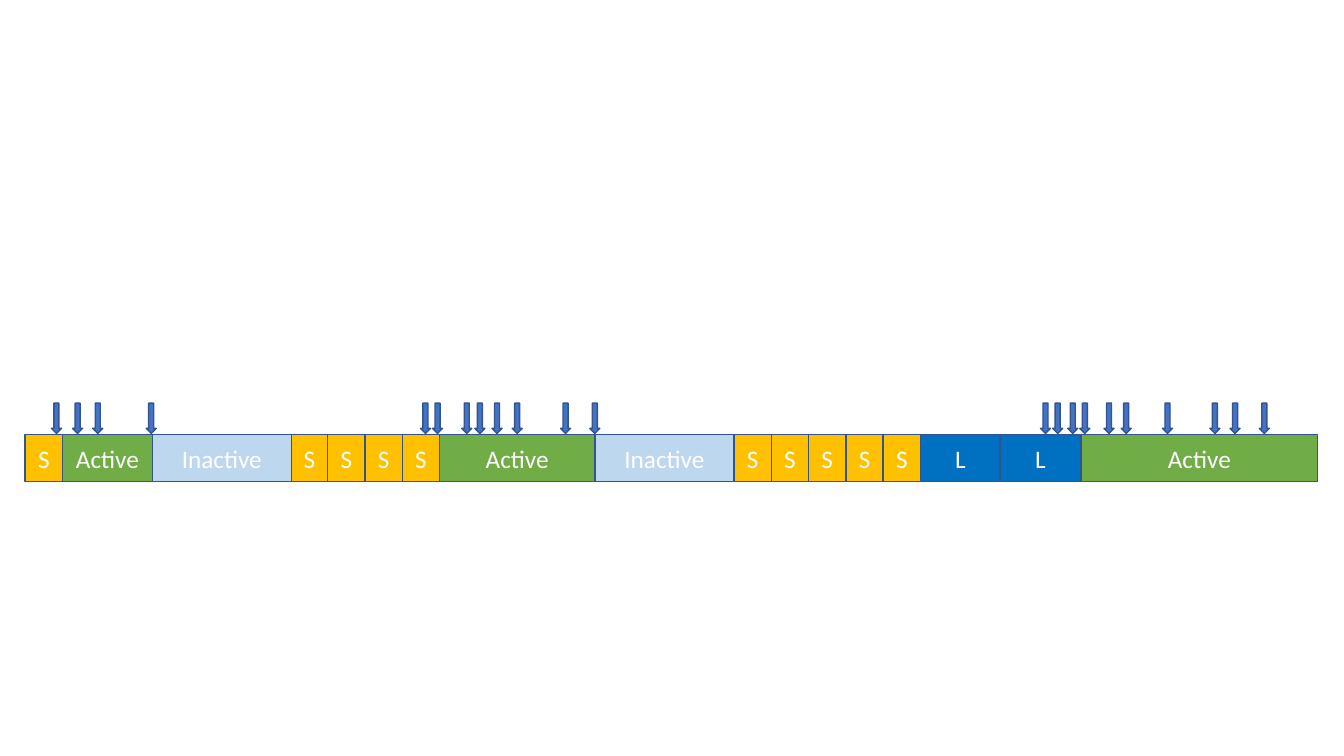
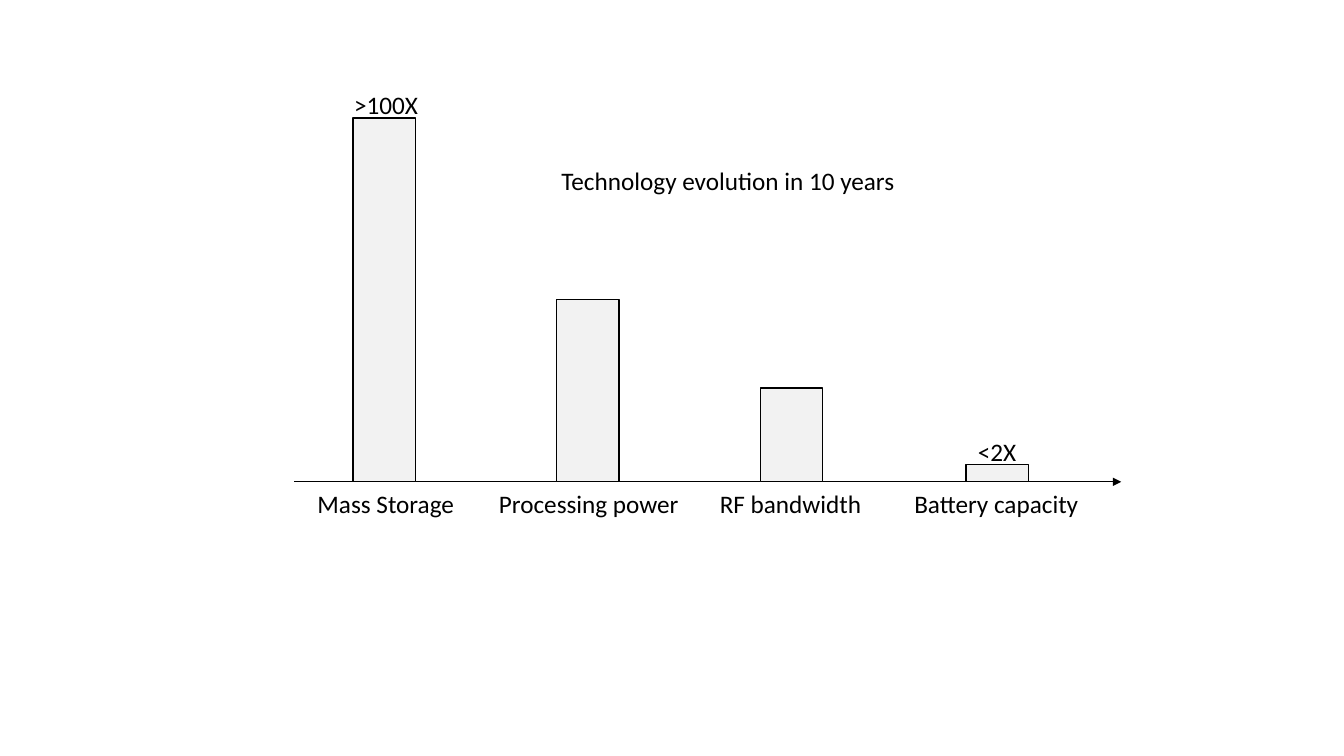
from itertools import pairwise

from pptx import Presentation
from pptx.dml.color import RGBColor
from pptx.enum.shapes import MSO_CONNECTOR as Connector, MSO_SHAPE as Shape
from pptx.enum.text import MSO_ANCHOR as Anchor, PP_ALIGN as Align
from pptx.oxml.ns import qn
from pptx.util import Inches, Pt
from lxml.etree import SubElement

COLORS = {
    "white": "FFFFFF",
    "black": "000000",
    "outline": "325491",
    "arrow": "4472C4",
    "bar": "F2F2F2",
    "S": "FFC000",
    "L": "0070C0",
    "Active": "70AD47",
    "Inactive": "BDD7EE",
}
FONT = "Calibri"
STRIP_TOP, STRIP_HEIGHT, STRIP_END = 4.31, 0.47, 13.07
SEGMENTS = [
    ("S", 0.25), ("Active", 0.62), ("Inactive", 1.51),
    ("S", 2.89), ("S", 3.25), ("S", 3.62), ("S", 3.99),
    ("Active", 4.36), ("Inactive", 5.9),
    ("S", 7.28), ("S", 7.65), ("S", 8.02), ("S", 8.39), ("S", 8.76),
    ("L", 9.13), ("L", 9.92), ("Active", 10.72),
]
EVENTS = [
    0.51, 0.72, 0.92, 1.45,
    4.17, 4.29, 4.58, 4.71, 4.88, 5.08, 5.56, 5.85,
    10.32, 10.44, 10.59, 10.71, 10.95, 11.12, 11.53, 12, 12.2, 12.49,
]
BASELINE, BAR_WIDTH = 4.78, 0.62
BARS = [
    (3.5, 3.61, "Mass Storage", 3.05, 1.59),
    (5.52, 1.81, "Processing power", 4.85, 1.99),
    (7.54, 0.93, "RF bandwidth", 7.04, 1.65),
    (9.58, 0.17, "Battery capacity", 8.97, 1.86),
]


def rgb(name):
    return RGBColor.from_string(COLORS[name])


def write(box, text, color="black", align=Align.LEFT):
    para = box.text_frame.paragraphs[0]
    para.alignment = align
    span = para.add_run()
    span.text = text
    span.font.name = FONT
    span.font.size = Pt(18)
    span.font.color.rgb = rgb(color)


def add_block(page, left, top, width, height, fill, line="outline", kind=Shape.RECTANGLE):
    block = page.shapes.add_shape(
        kind, Inches(left), Inches(top), Inches(width), Inches(height))
    block.shadow.inherit = False
    block.fill.solid()
    block.fill.fore_color.rgb = rgb(fill)
    block.line.color.rgb = rgb(line)
    block.line.width = Pt(1)
    return block


def add_label(page, text, left, top, width, align=Align.LEFT):
    box = page.shapes.add_textbox(Inches(left), Inches(top), Inches(width), Inches(0.4))
    box.text_frame.word_wrap = False
    write(box, text, align=align)


def add_axis(page, start, end, height):
    axis = page.shapes.add_connector(
        Connector.STRAIGHT, Inches(start), Inches(height), Inches(end), Inches(height))
    axis.line.color.rgb = rgb("black")
    axis.line.width = Pt(0.5)
    SubElement(axis.line._get_or_add_ln(), qn("a:tailEnd"), type="triangle")
    SubElement(axis._element.spPr, qn("a:effectLst"))


def build_timeline(page):
    edges = [left for _, left in SEGMENTS] + [STRIP_END]
    for (state, _), (left, right) in zip(SEGMENTS, pairwise(edges)):
        segment = add_block(page, left, STRIP_TOP, right - left, STRIP_HEIGHT, state)
        segment.text_frame.vertical_anchor = Anchor.MIDDLE
        write(segment, state, "white", Align.CENTER)
    for left in EVENTS:
        add_block(page, left, 4, 0.1, 0.3, "arrow", kind=Shape.DOWN_ARROW)


def build_evolution(page):
    add_axis(page, 2.92, 11.12, BASELINE)
    for left, height, name, name_left, name_width in BARS:
        add_block(page, left, BASELINE - height, BAR_WIDTH, height, "bar", "black")
        add_label(page, name, name_left, 4.8, name_width)
    add_label(page, ">100X", 3.33, 0.84, 1, Align.CENTER)
    add_label(page, "<2X", 9.39, 4.28, 1, Align.CENTER)
    add_label(page, "Technology evolution in 10 years", 5.47, 1.59, 3.59)


def main():
    deck = Presentation()
    deck.slide_width, deck.slide_height = Inches(13.33), Inches(7.5)
    blank = deck.slide_layouts[6]
    for build in (build_timeline, build_evolution):
        build(deck.slides.add_slide(blank))
    deck.save("out.pptx")


if __name__ == "__main__":
    main()
